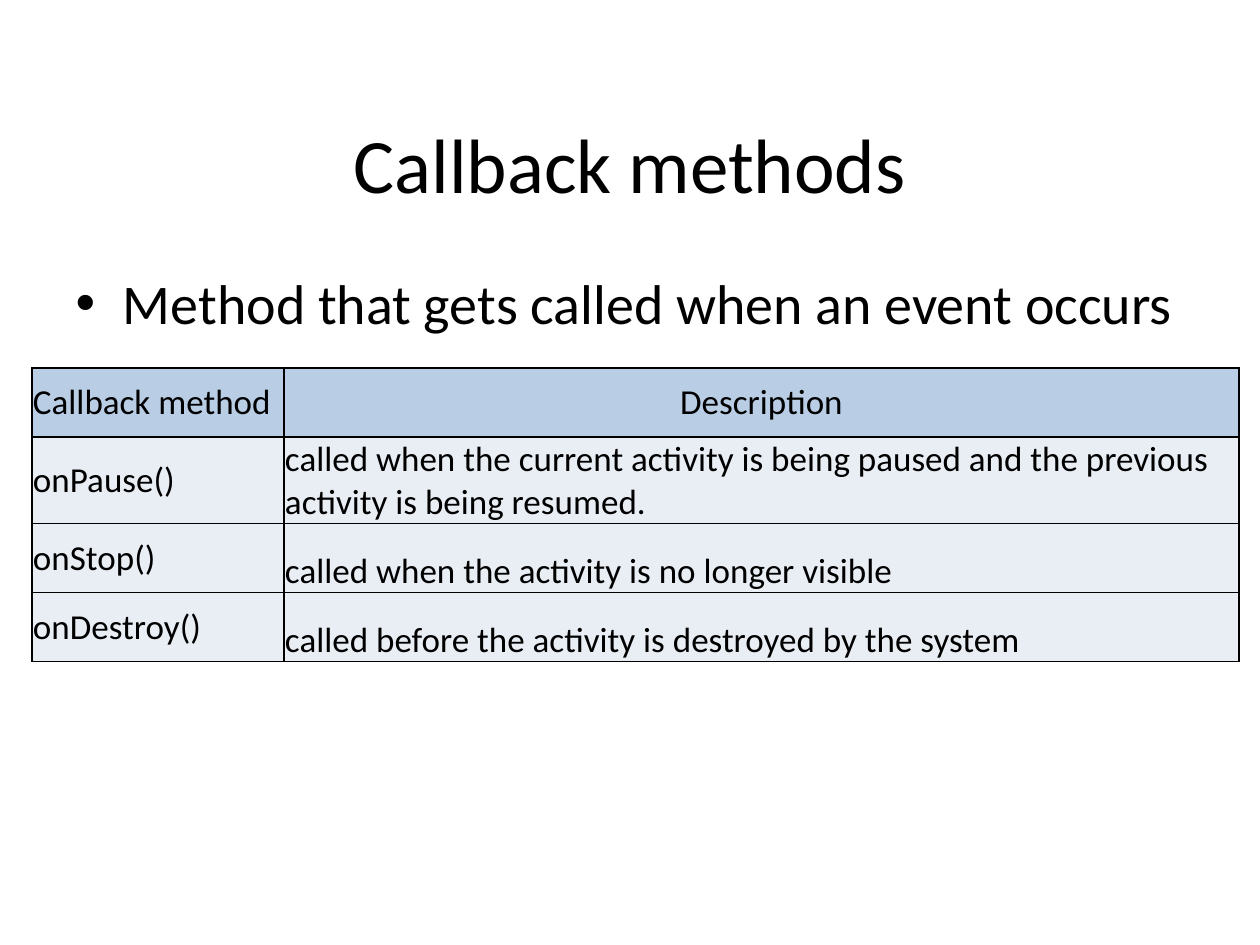
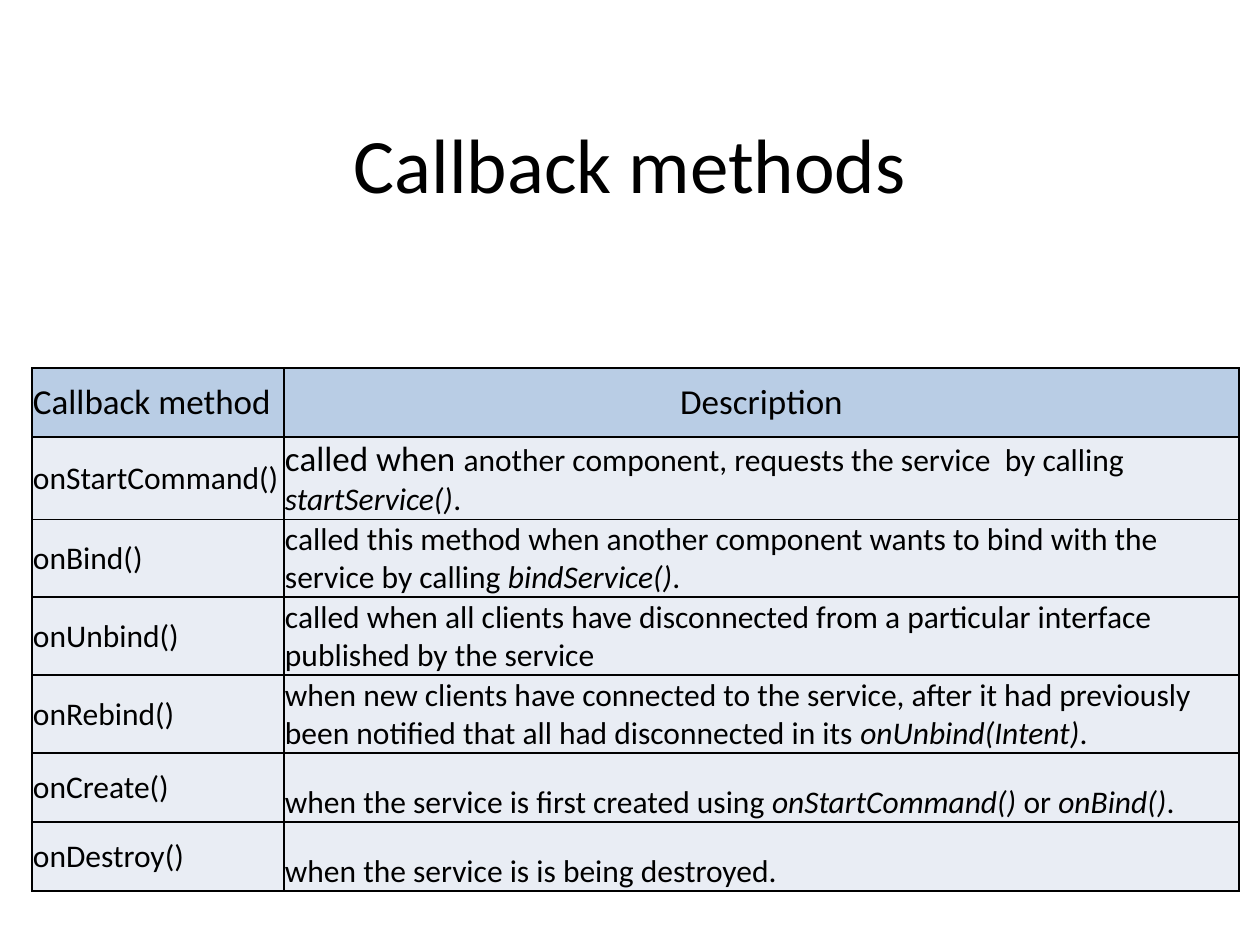
"""Build two slides that list callback methods in tables."""
from pptx import Presentation
from pptx.dml.color import RGBColor
from pptx.enum.text import MSO_ANCHOR as ANCHOR, PP_ALIGN as ALIGN
from pptx.oxml import parse_xml
from pptx.oxml.ns import nsdecls
from pptx.util import Pt

BLACK = RGBColor(0x00, 0x00, 0x00)
HEADER = RGBColor(0xB9, 0xCD, 0xE5)
ROW = RGBColor(0xE9, 0xED, 0xF4)
FONT = "Calibri"
TITLE_ONLY, TITLE_BODY = 5, 1
COLUMNS = (252, 955)
ROW_HEIGHT = 69


def px(*lengths):
    return [round(n * 914400 / 126) for n in lengths]


def style(p, size, align):
    p.alignment = align
    p.font.name = FONT
    p.font.size = Pt(size)
    p.font.color.rgb = BLACK


slides = [
    ("Method that gets called when an event occurs", 20, [
        ("onPause()", [("called when the current activity is being paused and "
                        "the previous activity is being resumed.", 20, False)]),
        ("onStop()", [("called when the activity is no longer visible", 20, False)]),
        ("onDestroy()", [("called before the activity is destroyed by the system",
                          20, False)]),
    ]),
    (None, 18, [
        ("onStartCommand()", [
            ("called when ", 20, False),
            ("another component, requests the service  by calling ", 18, False),
            ("startService()", 18, True), (".", 18, False)]),
        ("onBind()", [
            ("called this method when another component wants to bind with the "
             "service by calling ", 18, False),
            ("bindService()", 18, True), (".", 18, False)]),
        ("onUnbind()", [
            ("called when all clients have disconnected from a particular "
             "interface published by the service", 18, False)]),
        ("onRebind()", [
            ("when new clients have connected to the service, after it had "
             "previously been notified that all had disconnected in its ", 18, False),
            ("onUnbind(Intent)", 18, True), (".", 18, False)]),
        ("onCreate()", [
            ("when the service is first created using ", 18, False),
            ("onStartCommand() ", 18, True), ("or ", 18, False),
            ("onBind()", 18, True), (".", 18, False)]),
        ("onDestroy()", [("when the service is is being destroyed.", 18, False)]),
    ]),
]

prs = Presentation()
prs.slide_width, prs.slide_height = px(1260, 945)

for bullet, size, methods in slides:
    s = prs.slides.add_slide(prs.slide_layouts[TITLE_BODY if bullet else TITLE_ONLY])
    title = s.shapes.title
    title.left, title.top, title.width, title.height = px(63, 84, 1134, 158)
    title.text_frame.text = "Callback methods"
    title.text_frame.vertical_anchor = ANCHOR.MIDDLE
    style(title.text_frame.paragraphs[0], 44, ALIGN.CENTER)

    if bullet:
        body = s.placeholders[1]
        body.left, body.top, body.width, body.height = px(63, 262, 1134, 582)
        body.text_frame.text = bullet
        p = body.text_frame.paragraphs[0]
        p.space_before = Pt(0)
        style(p, 32, ALIGN.JUSTIFY)

    rows = [("Callback method", [("Description", 20, False)])] + methods
    frame = s.shapes.add_table(len(rows), len(COLUMNS),
                               *px(32, 368, sum(COLUMNS), ROW_HEIGHT * len(rows)))
    table = frame.table
    table.first_row = table.horz_banding = False
    for column, width in zip(table.columns, px(*COLUMNS)):
        column.width = width

    for i, (method, description) in enumerate(rows):
        table.rows[i].height = px(ROW_HEIGHT)[0]
        name_size = size if i else 20
        for j, runs in enumerate(([(method, name_size, False)], description)):
            cell = table.cell(i, j)
            cell.margin_left, cell.margin_top, cell.margin_right, cell.margin_bottom = px(1, 1, 1, 0)
            cell.vertical_anchor = ANCHOR.BOTTOM if i and j else ANCHOR.MIDDLE
            tc_pr = cell._tc.get_or_add_tcPr()
            for side in "LRTB":
                tc_pr.append(parse_xml(
                    f'<a:ln{side} {nsdecls("a")} w="{Pt(1)}"><a:solidFill>'
                    f'<a:srgbClr val="{BLACK}"/></a:solidFill></a:ln{side}>'))
            cell.fill.solid()
            cell.fill.fore_color.rgb = ROW if i else HEADER
            p = cell.text_frame.paragraphs[0]
            style(p, name_size, ALIGN.CENTER if j and not i else ALIGN.LEFT)
            for text, run_size, italic in runs:
                r = p.add_run()
                r.text = text
                r.font.size = Pt(run_size)
                r.font.italic = italic

prs.save("out.pptx")
